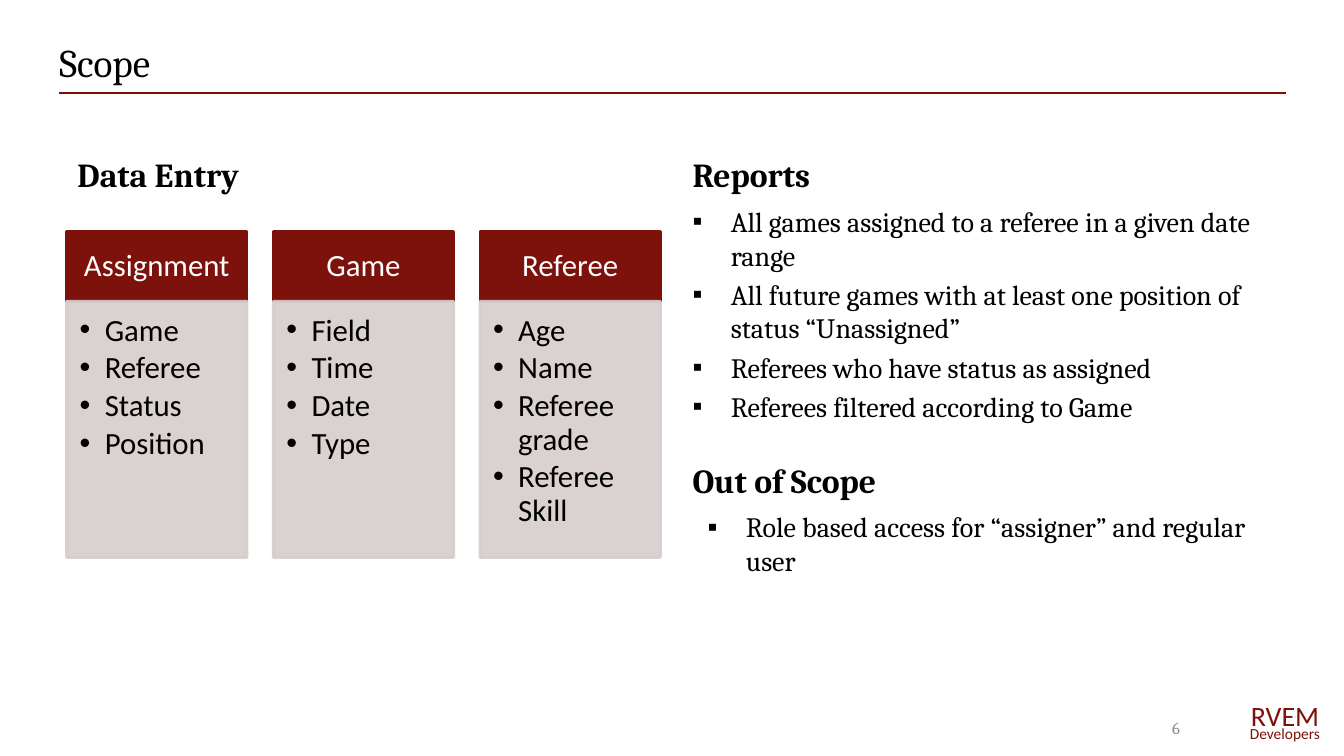
"""Build the Scope slide: data entry cards, report list and exclusions."""
import pptx
import pptx.dml.color
import pptx.enum.shapes
import pptx.enum.text
import pptx.oxml.ns
import pptx.util
from lxml import etree

TITLE = "Scope"
DATA_ENTRY = {
    "Assignment": ["Game", "Referee", "Status", "Position"],
    "Game": ["Field", "Time", "Date", "Type"],
    "Referee": ["Age", "Name", "Referee grade", "Referee Skill"],
}
REPORTS = [
    "All games assigned to a referee in a given date range",
    "All future games with at least one position of status “Unassigned”",
    "Referees who have status as assigned",
    "Referees filtered according to Game",
]
OUT_OF_SCOPE = ["Role based access for “assigner” and regular user"]
PAGE_NUMBER = "6"
TEAM = [("RVEM", 20, 6.88, 0.44), ("Developers", 11, 7.13, 0.29)]
COLORS = {"maroon": "7D110C", "rule": "7D0E09", "card": "D7CCCC",
          "black": "000000", "white": "FFFFFF", "gray": "8C8C8C"}

SLIDE_W, SLIDE_H = 13.33, 7.5
MARGIN, CONTENT_W, RULE_TOP = 0.59, 12.16, 0.92
LEFT_COL, RIGHT_COL, COL_W = 0.67, 6.77, 5.89
HEADING_H, UPPER_ROW, LOWER_ROW = 0.7, 1.28, 4.31
CARD_LEFT, CARD_TOP, CARD_W, CARD_GAP = 0.66, 2.3, 1.79, 0.26
CARD_HEAD_H, CARD_BODY_H = 0.69, 2.54
TEAM_LEFT, TEAM_W = 12.26, 0.97

Inches = pptx.util.Inches
Pt = pptx.util.Pt
ALIGN = pptx.enum.text.PP_ALIGN
ANCHOR = pptx.enum.text.MSO_ANCHOR
qn = pptx.oxml.ns.qn


def rgb(name):
    return pptx.dml.color.RGBColor.from_string(COLORS[name])


def write(shape, text, *, size, font="Cambria", color="black", bold=False,
          align=ALIGN.LEFT, anchor=ANCHOR.TOP, insets=(0.1, 0.05, 0.1, 0.05),
          bullet=None, indent=0, before=0, after=0, spacing=1.0):
    """Fill a shape with one paragraph per line of text."""
    frame = shape.text_frame
    frame.word_wrap = True
    frame.vertical_anchor = anchor
    (frame.margin_left, frame.margin_top,
     frame.margin_right, frame.margin_bottom) = map(Inches, insets)
    frame.text = text if isinstance(text, str) else "\n".join(text)
    for paragraph in frame.paragraphs:
        paragraph.alignment = align
        paragraph.line_spacing = spacing
        paragraph.space_before = Pt(before * size)
        paragraph.space_after = Pt(after * size)
        style = paragraph.runs[0].font
        style.name, style.size, style.bold = font, Pt(size), bold
        style.color.rgb = rgb(color)
        if bullet:
            props = paragraph._p.get_or_add_pPr()
            props.set("marL", str(Inches(indent)))
            props.set("indent", str(-Inches(indent)))
            etree.SubElement(props, qn("a:buFont"), typeface="Arial")
            etree.SubElement(props, qn("a:buChar"), char=bullet)


def add_text(slide, box, text, **style):
    write(slide.shapes.add_textbox(*map(Inches, box)), text, **style)


def add_panel(slide, box, fill, text, opacity=100, **style):
    panel = slide.shapes.add_shape(
        pptx.enum.shapes.MSO_SHAPE.RECTANGLE, *map(Inches, box))
    panel.shadow.inherit = False
    panel.fill.solid()
    panel.fill.fore_color.rgb = rgb(fill)
    panel.line.color.rgb = rgb(fill)
    panel.line.width = Pt(2)
    if opacity < 100:
        for paint in panel._element.spPr.iter(qn("a:srgbClr")):
            etree.SubElement(paint, qn("a:alpha"), val=str(opacity * 1000))
    write(panel, text, size=22, font="Calibri", spacing=0.9, **style)


def add_rule(slide):
    rule = slide.shapes.add_connector(
        pptx.enum.shapes.MSO_CONNECTOR.STRAIGHT, Inches(MARGIN),
        Inches(RULE_TOP), Inches(MARGIN + CONTENT_W), Inches(RULE_TOP))
    rule.line.color.rgb = rgb("rule")
    rule.line.width = Pt(1.5)
    etree.SubElement(rule._element.spPr, qn("a:effectLst"))


def add_heading(slide, left, top, text):
    add_text(slide, (left, top, COL_W, HEADING_H), text,
             size=24, bold=True, anchor=ANCHOR.BOTTOM)


def add_list(slide, left, top, height, items):
    add_text(slide, (left, top, COL_W, height), items,
             size=20, bullet="▪", indent=0.38, before=0.2)


def add_cards(slide):
    for column, (entity, fields) in enumerate(DATA_ENTRY.items()):
        left = CARD_LEFT + column * (CARD_W + CARD_GAP)
        add_panel(slide, (left, CARD_TOP, CARD_W, CARD_HEAD_H), "maroon",
                  entity, color="white", align=ALIGN.CENTER,
                  anchor=ANCHOR.MIDDLE, insets=(0.17, 0.1, 0.17, 0.1))
        add_panel(slide, (left, CARD_TOP + CARD_HEAD_H, CARD_W, CARD_BODY_H),
                  "card", fields, opacity=90, bullet="•", indent=0.25,
                  after=0.15, insets=(0.13, 0.13, 0.17, 0.19))


def main():
    deck = pptx.Presentation()
    deck.slide_width, deck.slide_height = Inches(SLIDE_W), Inches(SLIDE_H)
    slide = deck.slides.add_slide(deck.slide_layouts[6])

    add_rule(slide)
    for name, size, top, height in TEAM:
        add_text(slide, (TEAM_LEFT, top, TEAM_W, height), name, size=size,
                 font="Calibri", color="maroon", align=ALIGN.CENTER)
    add_text(slide, (MARGIN, 0.56, CONTENT_W, 0.34), TITLE, size=28,
             anchor=ANCHOR.BOTTOM, insets=(0, 0, 0, 0.05))

    add_heading(slide, LEFT_COL, UPPER_ROW, "Data Entry")
    add_cards(slide)
    add_heading(slide, RIGHT_COL, UPPER_ROW, "Reports")
    add_list(slide, RIGHT_COL, UPPER_ROW + HEADING_H, 2.33, REPORTS)
    add_heading(slide, RIGHT_COL, LOWER_ROW, "Out of Scope")
    add_list(slide, RIGHT_COL + 0.15, LOWER_ROW + HEADING_H, 2.4, OUT_OF_SCOPE)

    add_text(slide, (10.11, 7.02, 3.11, 0.4), PAGE_NUMBER, size=12,
             color="gray", align=ALIGN.CENTER, anchor=ANCHOR.MIDDLE)
    deck.save("out.pptx")


if __name__ == "__main__":
    main()
